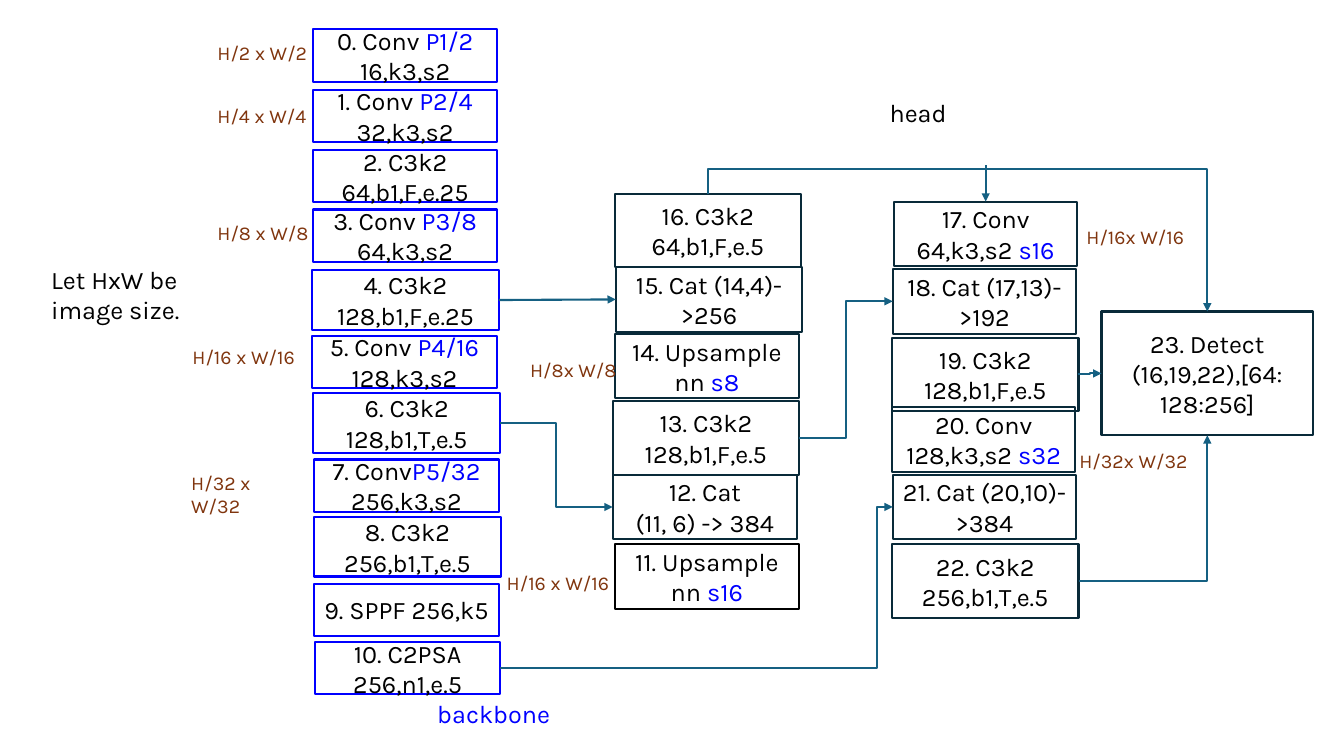
from dataclasses import dataclass

from lxml import etree
from pptx import Presentation
from pptx import util as u
from pptx.dml.color import RGBColor
from pptx.enum import shapes, text
from pptx.oxml.ns import qn

BLUE, BLACK, NAVY, TEAL, BROWN = "0000FF", "000000", "092A39", "156082", "80350E"
TOP, LEFT, BOTTOM, RIGHT = range(4)


@dataclass
class Layer:
    """A network layer; lengths in cm, `blue` is the highlighted part of the text."""
    text: str
    x: float
    y: float
    w: float
    h: float
    blue: str = ""
    line: str = NAVY


@dataclass
class Label:
    text: str
    x: float
    y: float
    w: float = 3.3
    h: float = 0.86
    size: int = 14
    color: str = BROWN


@dataclass
class Elbow:
    """A bent arrow from a side of one layer to a side of another."""
    start: int
    start_side: int
    end: int
    end_side: int
    bend: float = 0.5


# Layers, listed by their number in the network
LAYERS = [
    Layer("0. Conv P1/2 16,k3,s2", 7.9, 0.74, 4.62, 1.32, "P1/2", BLUE),
    Layer("1. Conv P2/4 32,k3,s2", 7.9, 2.26, 4.62, 1.32, "P2/4", BLUE),
    Layer("2. C3k2 64,b1,F,e.25", 7.9, 3.78, 4.62, 1.32, line=BLUE),
    Layer("3. Conv P3/8 64,k3,s2", 7.9, 5.28, 4.62, 1.32, "P3/8", BLUE),
    Layer("4. C3k2 128,b1,F,e.25", 7.87, 6.81, 4.7, 1.5, line=BLUE),
    Layer("5. Conv P4/16 128,k3,s2", 7.87, 8.46, 4.65, 1.32, "P4/16", BLUE),
    Layer("6. C3k2 128,b1,T,e.5", 7.9, 9.91, 4.7, 1.5, line=BLUE),
    Layer("7. ConvP5/32 256,k3,s2", 7.92, 11.58, 4.65, 1.32, "P5/32", BLUE),
    Layer("8. C3k2 256,b1,T,e.5", 7.92, 13.03, 4.7, 1.5, line=BLUE),
    Layer("9. SPPF 256,k5", 7.92, 14.71, 4.65, 1.32, line=BLUE),
    Layer("10. C2PSA 256,n1,e.5", 7.95, 16.18, 4.65, 1.32, line=BLUE),
    Layer("11. Upsample\nnn s16", 15.49, 13.72, 4.65, 1.63, "s16", BLACK),
    Layer("12. Cat\n(11, 6) -> 384", 15.44, 11.96, 4.65, 1.63),
    Layer("13. C3k2 128,b1,F,e.5", 15.44, 10.11, 4.7, 1.85),
    Layer("14. Upsample\nnn s8", 15.49, 8.41, 4.65, 1.63, "s8"),
    Layer("15. Cat (14,4)->256", 15.52, 6.73, 4.7, 1.63),
    Layer("16. C3k2 64,b1,F,e.5", 15.49, 4.88, 4.7, 1.85),
    Layer("17. Conv 64,k3,s2 s16", 22.53, 5.08, 4.62, 1.63, "s16"),
    Layer("18. Cat (17,13)->192", 22.5, 6.78, 4.62, 1.63),
    Layer("19. C3k2 128,b1,F,e.5", 22.48, 8.51, 4.7, 1.85),
    Layer("20. Conv 128,k3,s2 s32", 22.48, 10.26, 4.62, 1.63, "s32"),
    Layer("21. Cat (20,10)->384", 22.5, 11.96, 4.62, 1.63),
    Layer("22. C3k2 256,b1,T,e.5", 22.48, 13.72, 4.7, 1.85),
    Layer("23. Detect (16,19,22),[64: 128:256]", 27.76, 7.85, 5.33, 3.12),
]

LABELS = [
    Label("backbone", 10.77, 17.48, 4.19, 1.02, 18, BLUE),
    Label("head", 22.17, 2.34, 4.19, 1.02, 18, BLACK),
    Label("Let HxW be image size.", 1.04, 6.53, 4.01, 1.8, 18, BLACK),
    Label("H/2 x W/2", 5.23, 0.91),
    Label("H/4 x W/4", 5.23, 2.49),
    Label("H/8 x W/8", 5.23, 5.44),
    Label("H/16 x W/16", 4.6, 8.56),
    Label("H/32 x W/32", 4.57, 11.73),
    Label("H/16 x W/16", 12.52, 14.27),
    Label("H/8x W/8", 13.11, 8.89),
    Label("H/16x W/16", 27.13, 5.54),
    Label("H/32x W/32", 26.95, 11.18),
]

ELBOWS = [
    Elbow(13, RIGHT, 18, LEFT),
    Elbow(10, RIGHT, 21, LEFT, 0.96),
    Elbow(16, TOP, 23, TOP, -0.21),
    Elbow(19, RIGHT, 23, LEFT),
    Elbow(22, RIGHT, 23, BOTTOM),
    Elbow(6, RIGHT, 12, LEFT),
]


def rgb(color: str) -> RGBColor:
    return RGBColor.from_string(color)


def add_run(p, words: str, size: int, color: str) -> None:
    r = p.add_run()
    r.text = words
    r.font.name = "Karla"
    r.font.size = u.Pt(size)
    r.font.color.rgb = rgb(color)


def add_layer(s, layer: Layer):
    box = [u.Cm(v) for v in (layer.x, layer.y, layer.w, layer.h)]
    sp = s.shapes.add_shape(shapes.MSO_SHAPE.RECTANGLE, *box)
    sp.shadow.inherit = False
    sp.fill.background()
    sp.line.color.rgb = rgb(layer.line)
    sp.line.width = u.Pt(1.5)
    tf = sp.text_frame
    tf.word_wrap = True
    tf.vertical_anchor = text.MSO_ANCHOR.MIDDLE
    for i, line in enumerate(layer.text.split("\n")):
        p = tf.add_paragraph() if i else tf.paragraphs[0]
        p.alignment = text.PP_ALIGN.CENTER
        before, blue, after = line.partition(layer.blue) if layer.blue else (line, "", "")
        for words, color in ((before, BLACK), (blue, BLUE), (after, BLACK)):
            if words:
                add_run(p, words, 18, color)
    return sp


def add_label(s, label: Label) -> None:
    box = [u.Cm(v) for v in (label.x, label.y, label.w, label.h)]
    tf = s.shapes.add_textbox(*box).text_frame
    tf.word_wrap = True
    add_run(tf.paragraphs[0], label.text, label.size, label.color)


def side_point(layer: Layer, side: int) -> tuple[float, float]:
    across, down = [(0.5, 0), (0, 0.5), (0.5, 1), (1, 0.5)][side]
    return layer.x + layer.w * across, layer.y + layer.h * down


def add_arrow(s, kind, x1: float, y1: float, x2: float, y2: float):
    sp = s.shapes.add_connector(kind, u.Cm(x1), u.Cm(y1), u.Cm(x2), u.Cm(y2))
    sp.line.color.rgb = rgb(TEAL)
    sp.line.width = u.Pt(1.5)
    etree.SubElement(sp.line._get_or_add_ln(), qn("a:tailEnd"), type="triangle")
    etree.SubElement(sp._element.spPr, qn("a:effectLst"))
    return sp


def add_elbow(s, elbow: Elbow) -> None:
    x1, y1 = side_point(LAYERS[elbow.start], elbow.start_side)
    x2, y2 = side_point(LAYERS[elbow.end], elbow.end_side)
    upright = elbow.start_side == TOP
    if upright:  # place the frame so that a quarter turn brings the ends to their sides
        cx, cy, dx, dy = (x1 + x2) / 2, (y1 + y2) / 2, (y2 - y1) / 2, (x2 - x1) / 2
        x1, y1, x2, y2 = cx + dx, cy - dy, cx - dx, cy + dy
    sp = add_arrow(s, shapes.MSO_CONNECTOR.ELBOW, x1, y1, x2, y2)
    geom = sp._element.spPr.find(qn("a:prstGeom"))
    if upright:
        sp._element.spPr.find(qn("a:xfrm")).set("rot", str(270 * 60000))
    if elbow.end_side == BOTTOM:
        geom.set("prst", "bentConnector2")
    else:
        etree.SubElement(geom.find(qn("a:avLst")), qn("a:gd"), name="adj1",
                         fmla=f"val {round(elbow.bend * 100000)}")


def main() -> None:
    prs = Presentation()
    prs.slide_width, prs.slide_height = u.Cm(33.87), u.Cm(19.05)
    s = prs.slides.add_slide(prs.slide_layouts[6])

    # Network layers
    boxes = [add_layer(s, layer) for layer in LAYERS]

    # Bent arrows
    for elbow in ELBOWS:
        add_elbow(s, elbow)

    # Straight arrows: 4 to 15, and the branch down to 17
    straight = shapes.MSO_CONNECTOR.STRAIGHT
    skip = add_arrow(s, straight, *side_point(LAYERS[4], RIGHT), *side_point(LAYERS[15], LEFT))
    skip.begin_connect(boxes[4], RIGHT)
    skip.end_connect(boxes[15], LEFT)
    x, y = side_point(LAYERS[17], TOP)
    branch = add_arrow(s, straight, x, 4.17, x, y)
    branch.end_connect(boxes[17], TOP)

    # Captions and feature map sizes
    for label in LABELS:
        add_label(s, label)

    prs.save("out.pptx")


if __name__ == "__main__":
    main()
